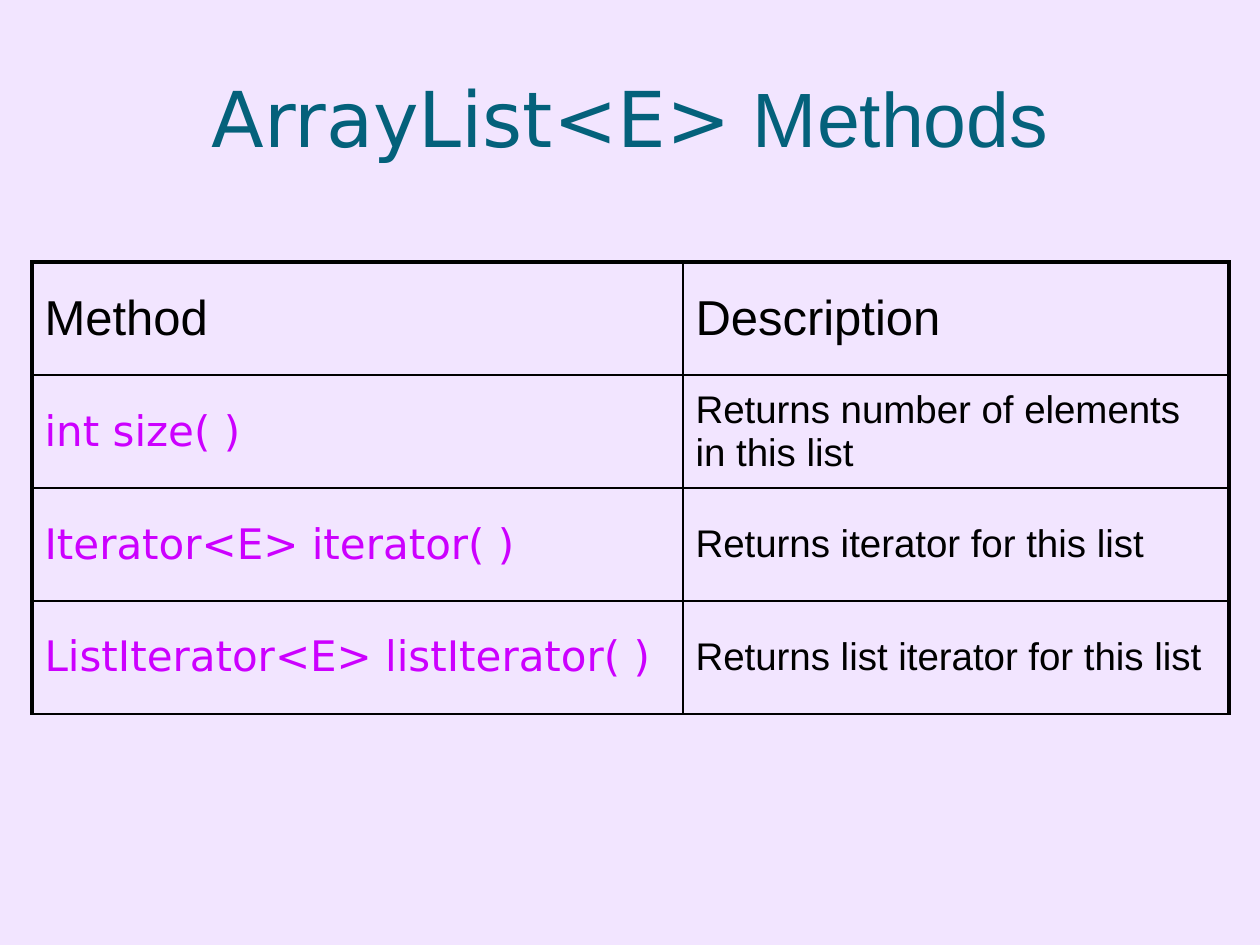
"""Builds a slide with a table of ArrayList<E> methods."""
from lxml import etree
from pptx import Presentation
from pptx.dml.color import RGBColor
from pptx.enum.text import MSO_ANCHOR, PP_ALIGN
from pptx.oxml.ns import qn
from pptx.util import Pt

PX = 914400 / 126
MIDDLE = MSO_ANCHOR.MIDDLE
CENTER = PP_ALIGN.CENTER
LAVENDER = RGBColor(0xF2, 0xE5, 0xFF)
TEAL = RGBColor(0x04, 0x61, 0x7B)
MAGENTA = RGBColor(0xCC, 0x00, 0xFF)
BLACK = RGBColor(0, 0, 0)
SANS, CODE = "Arial", "DejaVu Sans"
COL_WIDTHS = [651, 546]
ROW_HEIGHT = 113
ROWS = [
    ("Method", "Description"),
    ("int size( )", "Returns number of elements in this list"),
    ("Iterator<E> iterator( )", "Returns iterator for this list"),
    ("ListIterator<E> listIterator( )", "Returns list iterator for this list"),
]


def px(n):
    return round(n * PX)


def style(r, font, size, color):
    r.font.name = font
    r.font.size = Pt(size)
    r.font.color.rgb = color


prs = Presentation()
prs.slide_width, prs.slide_height = px(1260), px(945)
s = prs.slides.add_slide(prs.slide_layouts[6])
s.background.fill.solid()
s.background.fill.fore_color.rgb = LAVENDER

tf = s.shapes.add_textbox(px(63), px(38), px(1134), px(158)).text_frame
tf.word_wrap = True
tf.vertical_anchor = MIDDLE
p = tf.paragraphs[0]
p.alignment = CENTER
for text, font in [("ArrayList<E>", CODE), (" Methods", SANS)]:
    r = p.add_run()
    r.text = text
    style(r, font, 44, TEAL)

table = s.shapes.add_table(len(ROWS), len(COL_WIDTHS), px(32), px(262),
                           px(sum(COL_WIDTHS)), px(ROW_HEIGHT * len(ROWS))).table
table.first_row = table.horz_banding = False
for col, width in zip(table.columns, COL_WIDTHS):
    col.width = px(width)

for i, texts in enumerate(ROWS):
    table.rows[i].height = px(ROW_HEIGHT)
    for j, text in enumerate(texts):
        cell = table.cell(i, j)
        cell.vertical_anchor = MIDDLE
        cell.fill.background()
        cell.text_frame.text = text
        r = cell.text_frame.paragraphs[0].runs[0]
        if i == 0:
            style(r, SANS, 28, BLACK)
        elif j == 0:
            style(r, CODE, 24, MAGENTA)
        else:
            style(r, SANS, 22, BLACK)
        tcPr = cell._tc.get_or_add_tcPr()
        thick_sides = [("lnL", j == 0), ("lnR", j == 1), ("lnT", i == 0), ("lnB", False)]
        for k, (side, thick) in enumerate(thick_sides):
            ln = etree.Element(qn(f"a:{side}"), w=str(Pt(2.25 if thick else 1)))
            fill = etree.SubElement(ln, qn("a:solidFill"))
            etree.SubElement(fill, qn("a:srgbClr"), val=str(BLACK))
            tcPr.insert(k, ln)

prs.save("out.pptx")
